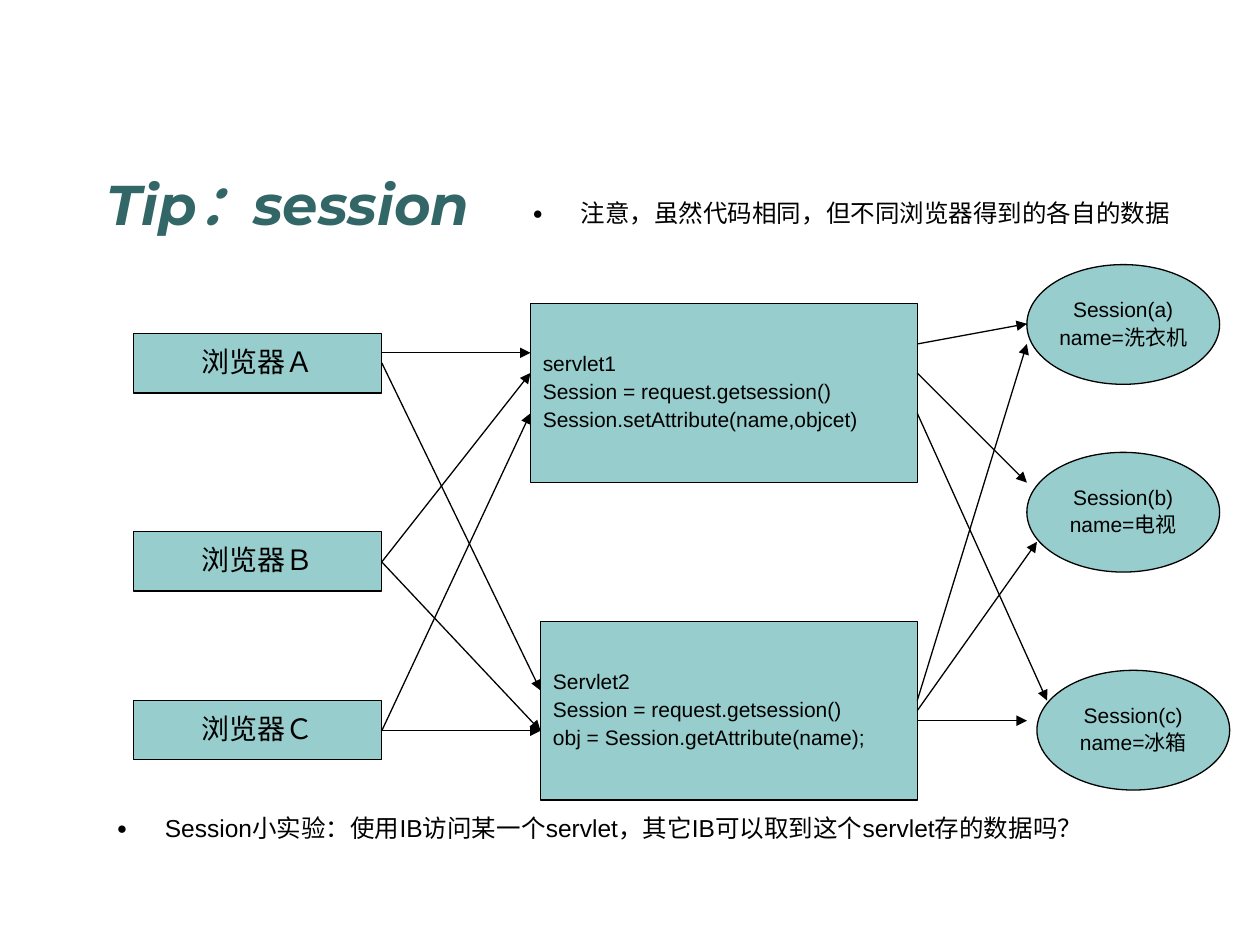
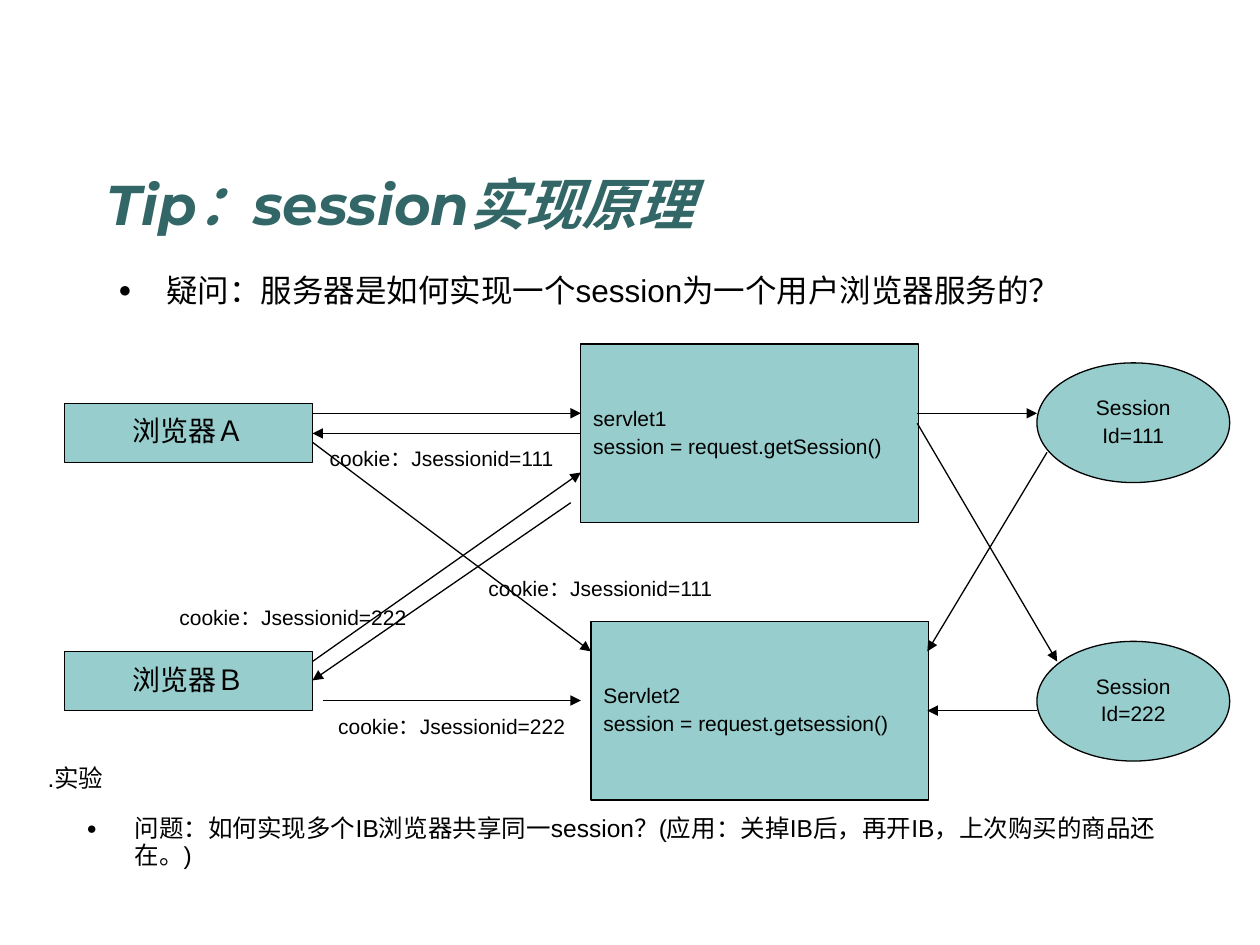
from lxml.etree import SubElement
from pptx import Presentation
from pptx.dml.color import RGBColor
from pptx.enum.shapes import MSO_CONNECTOR, MSO_SHAPE
from pptx.enum.text import MSO_ANCHOR, MSO_AUTO_SIZE, PP_ALIGN
from pptx.oxml.ns import qn
from pptx.util import Inches, Pt

BLACK = "000000"
TEAL = "97CDCC"
TITLE_COLOUR = "336666"
BODY_FONT = "Arial"
TITLE_FONT = "Montserrat"
HANGING = 0.38
BROWSER_SIZE = (1.97, 0.47)
SESSION_SIZE = (1.53, 0.95)
SERVLET_HEIGHT = 1.42
COOKIE_SIZE = (2.05, 0.46)


def colour(hex_string):
    return RGBColor.from_string(hex_string)


def add_paragraph(frame, text, size, align=PP_ALIGN.LEFT, before=0, spacing=0.9):
    """Write text in the frame's empty first paragraph, or in a new one."""
    paragraph = frame.paragraphs[0]
    if paragraph.runs:
        paragraph = frame.add_paragraph()
    paragraph.alignment = align
    paragraph.line_spacing = spacing
    paragraph.space_before = Pt(before)
    run = paragraph.add_run()
    run.text = text
    run.font.size = Pt(size)
    run.font.name = BODY_FONT
    run.font.color.rgb = colour(BLACK)
    return paragraph


def hang_indent(paragraph):
    properties = paragraph._p.get_or_add_pPr()
    properties.set("marL", str(Inches(HANGING)))
    properties.set("indent", str(-Inches(HANGING)))
    return properties


def add_bullet(paragraph):
    properties = hang_indent(paragraph)
    bullet_colour = SubElement(properties, qn("a:buClr"))
    SubElement(bullet_colour, qn("a:srgbClr"), val=BLACK)
    SubElement(properties, qn("a:buSzPct"), val="70000")
    SubElement(properties, qn("a:buFont"), typeface=BODY_FONT)
    SubElement(properties, qn("a:buChar"), char="●")


def add_text_frame(slide, left, top, width, height, wrap=True):
    box = slide.shapes.add_textbox(
        Inches(left), Inches(top), Inches(width), Inches(height))
    box.text_frame.word_wrap = wrap
    return box.text_frame


def add_title(slide, text):
    frame = add_text_frame(slide, 0.75, 0.36, 8.42, 1.57)
    frame.vertical_anchor = MSO_ANCHOR.BOTTOM
    font = add_paragraph(frame, text, 32, spacing=1.0).runs[0].font
    font.name = TITLE_FONT
    font.bold = font.italic = True
    font.color.rgb = colour(TITLE_COLOUR)


def add_note(slide, text, left, top, width, height):
    frame = add_text_frame(slide, left, top, width, height)
    frame.auto_size = MSO_AUTO_SIZE.SHAPE_TO_FIT_TEXT
    add_bullet(add_paragraph(frame, text, 14, before=8.8))


def add_question(slide, text):
    frame = add_text_frame(slide, 0.84, 2.1, 8.42, 4.73)
    paragraph = add_paragraph(frame, text, 18, before=4.5, spacing=1.0)
    paragraph.space_after = Pt(4.5)
    add_bullet(paragraph)


def add_node(slide, kind, left, top, size, lines, font_size=12,
             align=PP_ALIGN.CENTER):
    width, height = size
    shape = slide.shapes.add_shape(
        kind, Inches(left), Inches(top), Inches(width), Inches(height))
    shape.shadow.inherit = False
    shape.fill.solid()
    shape.fill.fore_color.rgb = colour(TEAL)
    shape.line.color.rgb = colour(BLACK)
    shape.line.width = Pt(0.75)
    frame = shape.text_frame
    frame.word_wrap = False
    frame.vertical_anchor = MSO_ANCHOR.MIDDLE
    for line in lines:
        hang_indent(add_paragraph(frame, line, font_size, align, font_size / 4))


def add_browser(slide, letter, left, top):
    add_node(slide, MSO_SHAPE.RECTANGLE, left, top, BROWSER_SIZE,
             ["浏览器" + letter], 16)


def add_servlet(slide, left, top, width, lines):
    add_node(slide, MSO_SHAPE.RECTANGLE, left, top, (width, SERVLET_HEIGHT),
             lines, align=PP_ALIGN.LEFT)


def add_session(slide, left, top, lines):
    add_node(slide, MSO_SHAPE.OVAL, left, top, SESSION_SIZE, lines)


def add_cookie(slide, left, top, number):
    frame = add_text_frame(slide, left, top, *COOKIE_SIZE)
    frame.auto_size = MSO_AUTO_SIZE.SHAPE_TO_FIT_TEXT
    text = f"cookie：Jsessionid={number}"
    hang_indent(add_paragraph(frame, text, 12, PP_ALIGN.CENTER, 7.5))


def add_arrows(slide, arrows):
    for ends in arrows:
        connector = slide.shapes.add_connector(
            MSO_CONNECTOR.STRAIGHT, *map(Inches, ends))
        connector.line.color.rgb = colour(BLACK)
        connector.line.width = Pt(0.75)
        SubElement(connector.line._get_or_add_ln(), qn("a:tailEnd"), type="triangle")
        SubElement(connector._element.spPr, qn("a:effectLst"))


def build_session_tip(slide):
    add_title(slide, "Tip：session")
    for letter, top in (("Ａ", 2.65), ("Ｂ", 4.22), ("Ｃ", 5.56)):
        add_browser(slide, letter, 1.06, top)
    add_servlet(slide, 4.21, 2.41, 3.07, [
        "servlet1", "Session = request.getsession()",
        "Session.setAttribute(name,objcet)"])
    add_servlet(slide, 4.29, 4.93, 2.99, [
        "Servlet2", "Session = request.getsession()",
        "obj = Session.getAttribute(name);"])
    for letter, item, left, top in (("a", "洗衣机", 8.15, 2.1),
                                    ("b", "电视", 8.15, 3.59),
                                    ("c", "冰箱", 8.23, 5.32)):
        add_session(slide, left, top, [f"Session({letter})", f"name={item}"])

    browser_right, servlet_right = 3.03, 7.28
    browser_arrows = [
        (2.8, 4.21, 2.8), (2.88, 4.29, 5.48),
        (4.46, 4.21, 2.96), (4.46, 4.29, 5.8),
        (5.8, 4.21, 3.28), (5.8, 4.29, 5.8)]
    servlet_arrows = [
        (2.73, 8.15, 2.57), (2.96, 8.15, 3.83), (3.28, 8.31, 5.56),
        (5.56, 8.15, 2.73), (5.64, 8.23, 4.3), (5.72, 8.15, 5.72)]
    add_arrows(slide, [(browser_right, *rest) for rest in browser_arrows])
    add_arrows(slide, [(servlet_right, *rest) for rest in servlet_arrows])

    add_note(slide, "Session小实验：使用IB访问某一个servlet，"
             "其它IB可以取到这个servlet存的数据吗？", 0.83, 6.43, 8.58, 0.31)
    add_note(slide, "注意，虽然代码相同，但不同浏览器得到的各自的数据",
             4.13, 1.55, 5.63, 0.31)


def build_session_principle(slide):
    add_title(slide, "Tip：session实现原理")
    add_question(slide, "疑问：服务器是如何实现一个session为一个用户浏览器服务的？")
    for letter, top in (("Ａ", 3.2), ("Ｂ", 5.17)):
        add_browser(slide, letter, 0.51, top)
    add_servlet(slide, 4.61, 2.73, 2.68,
                ["servlet1", "session = request.getSession()"])
    add_servlet(slide, 4.69, 4.93, 2.68,
                ["Servlet2", "session = request.getsession()"])
    for number, top in ((111, 2.88), (222, 5.09)):
        add_session(slide, 8.23, top, ["Session", f"Id={number}"])
    add_arrows(slide, [
        (2.48, 3.28, 4.61, 3.28), (4.61, 3.44, 2.48, 3.44),
        (2.48, 3.51, 4.69, 5.17), (2.48, 5.25, 4.61, 3.75),
        (4.53, 3.99, 2.48, 5.4), (2.56, 5.56, 4.61, 5.56),
        (7.28, 3.28, 8.23, 3.28), (7.28, 3.36, 8.39, 5.25),
        (8.31, 3.59, 7.36, 5.17), (8.23, 5.64, 7.36, 5.64)])
    for left, top, number in ((2.48, 3.51, 111), (3.74, 4.54, 111),
                              (1.3, 4.77, 222), (2.56, 5.64, 222)):
        add_cookie(slide, left, top, number)
    add_note(slide, "问题：如何实现多个IB浏览器共享同一session？"
             "(应用：关掉IB后，再开IB，上次购买的商品还在。)",
             0.59, 6.43, 9.06, 0.52)
    experiment = add_text_frame(slide, -0.12, 6.03, 1.44, 0.31, wrap=False)
    hang_indent(add_paragraph(experiment, ".实验", 14, PP_ALIGN.CENTER, 3.5))


def main():
    presentation = Presentation()
    presentation.slide_width = Inches(10)
    presentation.slide_height = Inches(7.5)
    blank_layout = presentation.slide_layouts[6]
    for build in (build_session_tip, build_session_principle):
        build(presentation.slides.add_slide(blank_layout))
    presentation.save("out.pptx")


if __name__ == "__main__":
    main()
